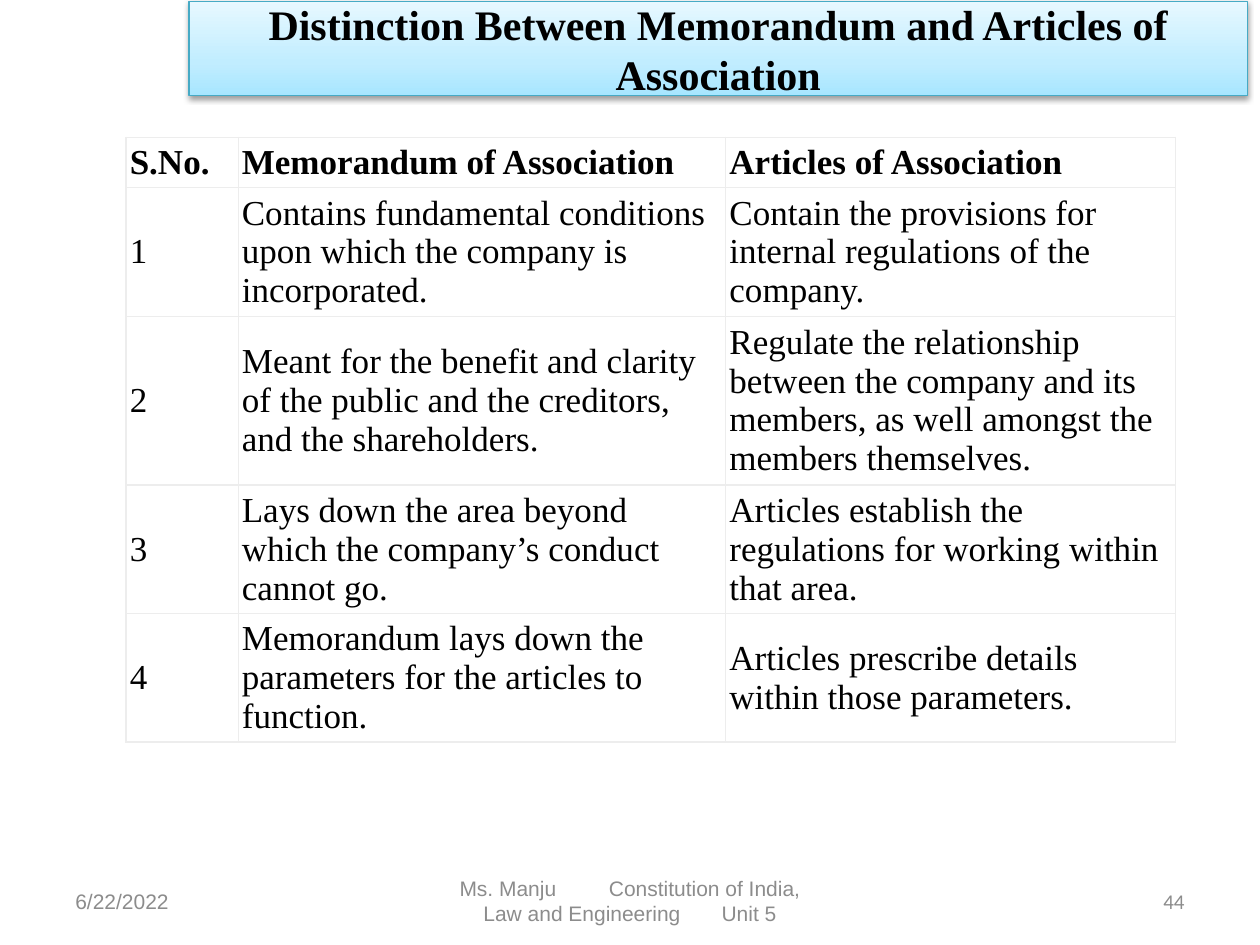
from dataclasses import dataclass

from pptx import Presentation
from pptx.dml.color import RGBColor
from pptx.enum.text import MSO_ANCHOR as Anchor, MSO_AUTO_SIZE as AutoSize, PP_ALIGN as Align
from pptx.oxml import parse_xml
from pptx.oxml.ns import nsdecls
from pptx.util import Inches, Pt

WIDTH, HEIGHT = Inches(10), Inches(7.5)


@dataclass(frozen=True)
class Theme:
    serif: str = "Times New Roman"
    sans: str = "Arial"
    number: str = "Calibri"
    ink: str = "000000"
    muted: str = "8C8C8C"
    paper: str = "FFFFFF"
    grid: str = "EDEDED"
    banner_line: str = "46AAC5"
    banner_stops: tuple = ((0, "A7E6FF"), (35, "C1EDFF"), (100, "E7F8FF"))
    title_pt: int = 24
    table_pt: int = 20
    footer_pt: int = 12


@dataclass(frozen=True)
class FooterItem:
    left: float  # share of the slide's width
    width: float
    pieces: tuple  # text, or the number of points by which a gap is widened
    align: Align
    font: str


THEME = Theme()
COLUMNS = (0.89, 3.87, 3.57)
ROWS = (0.4, 1.02, 1.34, 1.02, 1.02)
HEADINGS = ("S.No.", "Memorandum of Association", "Articles of Association")
DISTINCTIONS = (
    ("Contains fundamental conditions upon which the company is incorporated.",
     "Contain the provisions for internal regulations of the company."),
    ("Meant for the benefit and clarity of the public and the creditors, and the shareholders.",
     "Regulate the relationship between the company and its members, "
     "as well amongst the members themselves."),
    ("Lays down the area beyond which the company’s conduct cannot go.",
     "Articles establish the regulations for working within that area."),
    ("Memorandum lays down the parameters for the articles to function.",
     "Articles prescribe details within those parameters."),
)
FOOTER = (
    FooterItem(0.05, 0.23, ("6/22/2022",), Align.LEFT, THEME.sans),
    FooterItem(0.34, 0.32, ("Ms. Manju", 26.7, "Constitution of India, Law and Engineering",
                            20, "Unit 5"), Align.CENTER, THEME.sans),
    FooterItem(0.72, 0.23, ("44",), Align.RIGHT, THEME.number),
)


def add_run(p, text: str, size: int, font: str, color: str, bold: bool = False):
    r = p.add_run()
    r.text = text
    r.font.size, r.font.name, r.font.bold = Pt(size), font, bold
    r.font.color.rgb = RGBColor.from_string(color)
    return r


def add_title(s, text: str) -> None:
    sp = s.shapes.title
    sp.left, sp.top = int(WIDTH * 0.15), Inches(0.01)
    sp.width, sp.height = int(WIDTH * 0.84), int(HEIGHT * 0.1)
    stops = "".join(f'<a:gs pos="{pos * 1000}"><a:srgbClr val="{color}"/></a:gs>'
                    for pos, color in THEME.banner_stops)
    sp._element.spPr.append(parse_xml(
        f'<a:gradFill {nsdecls("a")} rotWithShape="1"><a:gsLst>{stops}</a:gsLst>'
        '<a:lin ang="16200000" scaled="0"/></a:gradFill>'))
    sp.line.color.rgb = RGBColor.from_string(THEME.banner_line)
    sp.line.width = Pt(0.75)
    sp._element.spPr.append(parse_xml(
        f'<a:effectLst {nsdecls("a")}><a:outerShdw blurRad="{Pt(3.1)}" dist="{Pt(1.6)}" '
        'dir="5400000" rotWithShape="0"><a:srgbClr val="000000"><a:alpha val="38000"/>'
        '</a:srgbClr></a:outerShdw></a:effectLst>'))
    tf = sp.text_frame
    tf.auto_size, tf.vertical_anchor, tf.word_wrap = AutoSize.NONE, Anchor.MIDDLE, True
    p = tf.paragraphs[0]
    p.alignment = Align.CENTER
    add_run(p, text, THEME.title_pt, THEME.serif, THEME.ink, bold=True)


def set_borders(cell) -> None:
    tcPr = cell._tc.get_or_add_tcPr()
    for i, side in enumerate(("lnL", "lnR", "lnT", "lnB")):
        tcPr.insert(i, parse_xml(
            f'<a:{side} {nsdecls("a")} w="{Pt(0.75)}"><a:solidFill>'
            f'<a:srgbClr val="{THEME.grid}"/></a:solidFill></a:{side}>'))


def fill_cell(cell, text: str, bold: bool) -> None:
    cell.fill.solid()
    cell.fill.fore_color.rgb = RGBColor.from_string(THEME.paper)
    cell.margin_left = cell.margin_right = Inches(0.03)
    cell.margin_top = cell.margin_bottom = Inches(0.01)
    cell.vertical_anchor = Anchor.MIDDLE
    set_borders(cell)
    add_run(cell.text_frame.paragraphs[0], text, THEME.table_pt, THEME.serif, THEME.ink, bold)


def add_distinction_table(s) -> None:
    table = s.shapes.add_table(len(ROWS), len(COLUMNS), Inches(1), Inches(1.09),
                               Inches(sum(COLUMNS)), Inches(sum(ROWS))).table
    for column, width in zip(table.columns, COLUMNS):
        column.width = Inches(width)
    for row, height in zip(table.rows, ROWS):
        row.height = Inches(height)
    numbered = [(str(n), *pair) for n, pair in enumerate(DISTINCTIONS, 1)]
    for i, texts in enumerate([HEADINGS, *numbered]):
        for j, text in enumerate(texts):
            fill_cell(table.cell(i, j), text, bold=i == 0)


def add_footer_item(s, item: FooterItem) -> None:
    tf = s.shapes.add_textbox(int(WIDTH * item.left), Inches(6.95),
                              int(WIDTH * item.width), Inches(0.4)).text_frame
    tf.word_wrap, tf.vertical_anchor = True, Anchor.MIDDLE
    p = tf.paragraphs[0]
    p.alignment = item.align
    for piece in item.pieces:
        is_text = isinstance(piece, str)
        r = add_run(p, piece if is_text else " ", THEME.footer_pt, item.font, THEME.muted)
        if not is_text:
            r.font._element.set("spc", str(round(piece * 100)))


def main() -> None:
    prs = Presentation()
    prs.slide_width, prs.slide_height = WIDTH, HEIGHT
    s = prs.slides.add_slide(prs.slide_layouts[5])
    add_title(s, "Distinction Between Memorandum and Articles of Association")
    add_distinction_table(s)
    for item in FOOTER:
        add_footer_item(s, item)
    prs.save("out.pptx")


if __name__ == "__main__":
    main()
